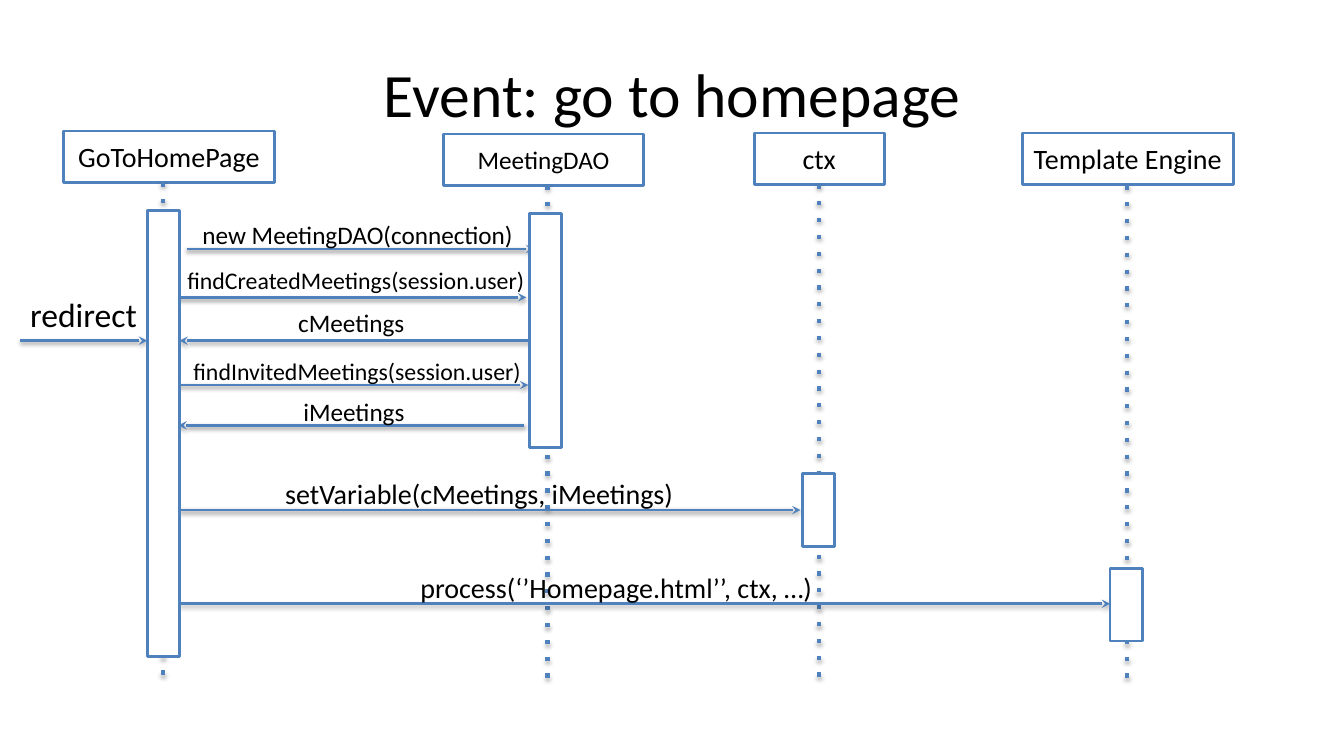
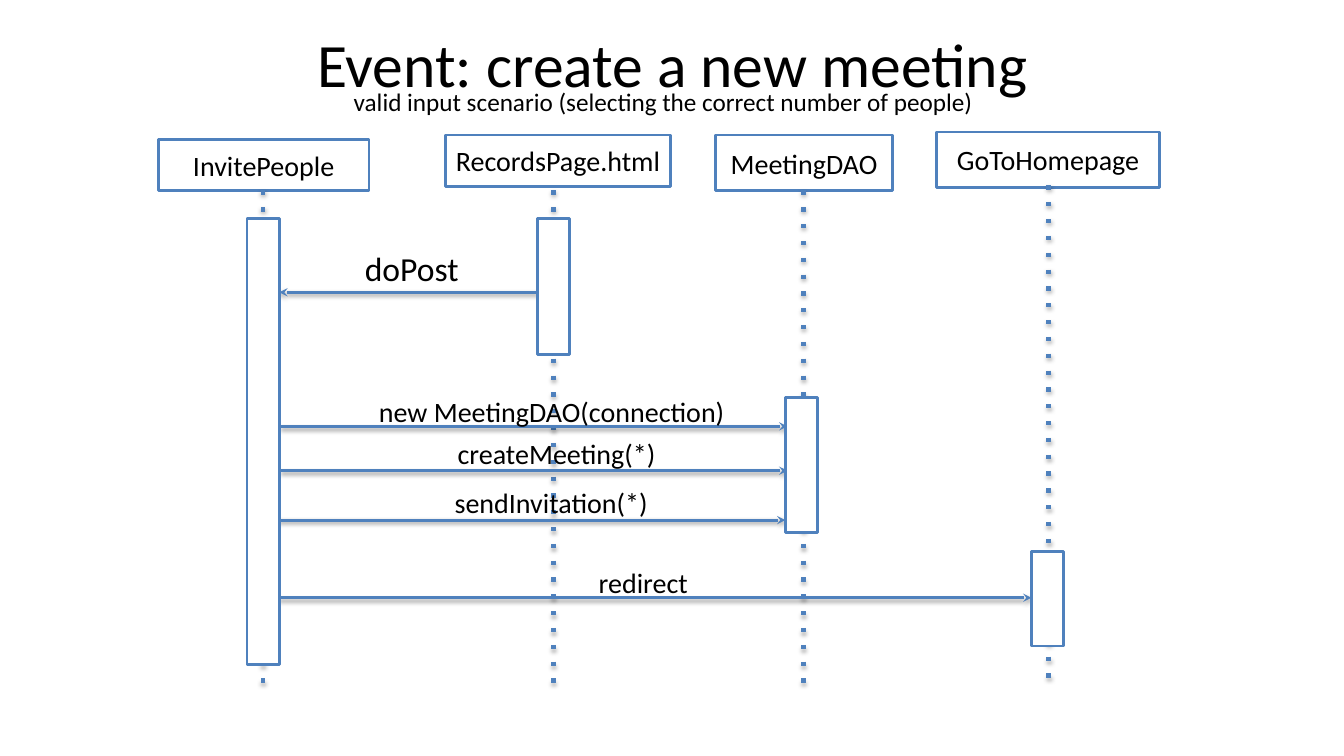
from lxml import etree
from pptx import Presentation
from pptx.dml.color import RGBColor
from pptx.enum import shapes, text
from pptx.oxml import ns
from pptx.util import Inches, Pt

COLORS = {"line": "4F81BD", "fill": "FFFFFF", "text": "000000"}
FONT = "Calibri"
BAR_WIDTH = 0.32

# Participant: name, size, box (left, top, width, height),
#              lifeline (x, top, bottom), bar (left, top, height)
# Message: label, size, label (left, top, width), arrow (from x, to x, y)
DIAGRAMS = [
    {
        "title": "Event: go to homepage",
        "title_top": 0.3,
        "subtitle": None,
        "participants": [
            ("GoToHomePage", 20, (0.63, 1.3, 2.09, 0.51), (1.62, 1.81, 6.79), (1.46, 2.09, 4.42)),
            ("MeetingDAO", 18, (4.4, 1.33, 1.98, 0.51), (5.43, 1.84, 6.83), (5.25, 2.12, 2.32)),
            ("ctx", 20, (7.48, 1.32, 1.29, 0.51), (8.12, 1.83, 6.82), (7.96, 4.7, 0.72)),
            ("Template Engine", 20, (10.14, 1.32, 2.09, 0.51), (11.18, 1.84, 6.83), (11.01, 5.64, 0.72)),
        ],
        "messages": [
            ("redirect", 24, (0.2, 2.87, 1.34), (0.2, 1.46, 3.38)),
            ("new MeetingDAO(connection)", 18, (1.91, 2.13, 3.33), (1.85, 5.3, 2.47)),
            ("findCreatedMeetings(session.user)", 17, (1.76, 2.59, 3.63), (1.76, 5.22, 2.95)),
            ("cMeetings", 18, (2.86, 3, 1.37), (5.27, 1.78, 3.38)),
            ("findInvitedMeetings(session.user)", 17, (1.82, 3.49, 3.47), (1.77, 5.24, 3.82)),
            ("iMeetings", 18, (2.91, 3.88, 1.27), (5.2, 1.77, 4.22)),
            ("setVariable(cMeetings, iMeetings)", 20, (2.73, 4.68, 4.35), (1.79, 7.94, 5.06)),
            ("process(‘’Homepage.html’’, ctx, …)", 20, (4.07, 5.61, 4.35), (1.79, 11.01, 5.99)),
        ],
    },
    {
        "title": "Event: create a new meeting",
        "title_top": 0,
        "subtitle": "valid input scenario (selecting the correct number of people)",
        "participants": [
            ("InvitePeople", 20, (1.57, 1.38, 2.09, 0.51), (2.61, 1.89, 6.88), (2.45, 2.17, 4.42)),
            ("RecordsPage.html", 20, (4.42, 1.34, 2.23, 0.51), (5.49, 1.89, 6.88), (5.33, 2.17, 1.35)),
            ("MeetingDAO", 20, (7.1, 1.34, 1.75, 0.55), (7.97, 1.89, 6.88), (7.79, 3.94, 1.34)),
            ("GoToHomepage", 20, (9.29, 1.31, 2.21, 0.55), (10.4, 1.84, 6.83), (10.23, 5.47, 0.94)),
        ],
        "messages": [
            ("doPost", 24, (3.52, 2.41, 1.19), (5.33, 2.77, 2.9)),
            ("new MeetingDAO(connection)", 20, (3.66, 3.86, 3.77), (2.79, 7.81, 4.23)),
            ("createMeeting(*)", 20, (4.44, 4.28, 3.33), (2.79, 7.81, 4.67)),
            ("sendInvitation(*)", 20, (4.41, 4.77, 2.25), (2.77, 7.79, 5.16)),
            ("redirect", 20, (5.84, 5.56, 1.73), (2.77, 10.23, 5.93)),
        ],
    },
]


def add_text(slide, content, size, left, top, width, height, boxed=False, centred=False):
    """Add a text box, or an outlined rectangle when boxed; content may be empty."""
    bounds = [Inches(value) for value in (left, top, width, height)]
    if boxed:
        shape = slide.shapes.add_shape(shapes.MSO_SHAPE.RECTANGLE, *bounds)
        shape.shadow.inherit = False
        shape.fill.solid()
        shape.fill.fore_color.rgb = RGBColor.from_string(COLORS["fill"])
        shape.line.color.rgb = RGBColor.from_string(COLORS["line"])
        shape.line.width = Pt(2)
    else:
        shape = slide.shapes.add_textbox(*bounds)
    if not content:
        return
    frame = shape.text_frame
    frame.word_wrap = True
    if boxed:
        frame.margin_left = frame.margin_right = Inches(0.05)
    frame.vertical_anchor = text.MSO_ANCHOR.MIDDLE if centred else text.MSO_ANCHOR.TOP
    paragraph = frame.paragraphs[0]
    paragraph.alignment = text.PP_ALIGN.CENTER if centred else text.PP_ALIGN.LEFT
    run = paragraph.add_run()
    run.text = content
    run.font.name = FONT
    run.font.size = Pt(size)
    run.font.color.rgb = RGBColor.from_string(COLORS["text"])


def add_line(slide, start, end, lifeline=False):
    """Add a dotted lifeline or a message arrow, with its soft shadow."""
    ends = [Inches(value) for value in (*start, *end)]
    connector = slide.shapes.add_connector(shapes.MSO_CONNECTOR.STRAIGHT, *ends)
    connector.line.color.rgb = RGBColor.from_string(COLORS["line"])
    connector.line.width = Pt(3 if lifeline else 2)
    outline = connector.line._get_or_add_ln()
    if lifeline:
        etree.SubElement(outline, ns.qn("a:prstDash"), val="dot")
    else:
        etree.SubElement(outline, ns.qn("a:tailEnd"), type="stealth")
    effects = etree.SubElement(connector._element.spPr, ns.qn("a:effectLst"))
    shadow = etree.SubElement(
        effects, ns.qn("a:outerShdw"), blurRad=str(Pt(3.1)),
        dist=str(Pt(1.8 if lifeline else 1.6)), dir="5400000", rotWithShape="0")
    color = etree.SubElement(shadow, ns.qn("a:srgbClr"), val=COLORS["text"])
    etree.SubElement(color, ns.qn("a:alpha"), val="35000" if lifeline else "38000")


presentation = Presentation()
presentation.slide_width = Inches(13.33)
presentation.slide_height = Inches(7.5)

for diagram in DIAGRAMS:
    slide = presentation.slides.add_slide(presentation.slide_layouts[6])
    add_text(slide, diagram["title"], 44, 0.67, diagram["title_top"], 12, 1.25, centred=True)
    if diagram["subtitle"]:
        add_text(slide, diagram["subtitle"], 18, 3.41, 0.81, 6.54, 0.4)

    for name, size, box, (x, top, bottom), bar in diagram["participants"]:
        add_text(slide, name, size, *box, boxed=True, centred=True)
        add_line(slide, (x, top), (x, bottom), lifeline=True)

    for label, size, place, (start_x, end_x, y) in diagram["messages"]:
        add_line(slide, (start_x, y), (end_x, y))

    for name, size, box, lifeline, (left, top, height) in diagram["participants"]:
        add_text(slide, "", size, left, top, BAR_WIDTH, height, boxed=True)

    for label, size, place, arrow in diagram["messages"]:
        add_text(slide, label, size, *place, 0.4)

presentation.save("out.pptx")
